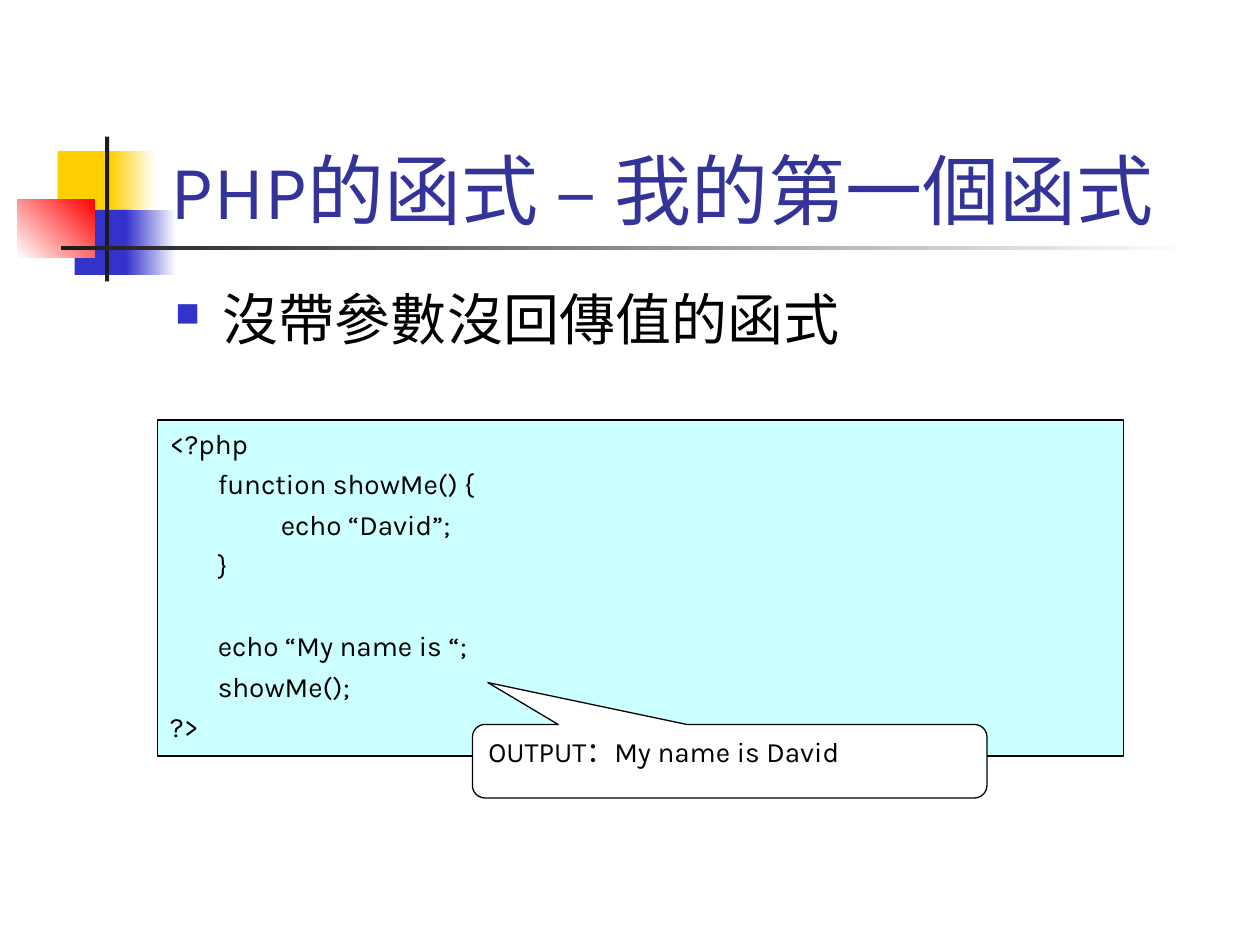
from lxml.etree import SubElement
from pptx import Presentation
from pptx.dml.color import RGBColor
from pptx.enum.shapes import MSO_SHAPE
from pptx.enum.text import MSO_ANCHOR, PP_ALIGN
from pptx.oxml.ns import qn
from pptx.util import Inches, Pt

COLORS = {
    "white": "FFFFFF", "black": "000000", "ink": "1C1C1C",
    "yellow": "FFCF01", "blue": "3333CC", "red": "FF0000",
    "title": "333399", "code": "CCFFFF",
}
COLUMNS, ROWS = 120, 90
HANGING = Inches(0.38)
CODE = [
    "<?php", "\tfunction showMe() {", "\t\techo “David”;", "\t}",
    "\techo “My name is “;", "\tshowMe();", "?>",
]
SECOND_BLOCK = 4  # code line that follows a one-line gap


def color(name):
    return RGBColor.from_string(COLORS[name])


class SlideBuilder:
    """Places elements on a 120 by 90 grid in one common style."""

    font = "Karla"

    def __init__(self, deck):
        self.width, self.height = deck.slide_width, deck.slide_height
        self.page = deck.slides.add_slide(deck.slide_layouts[6])

    def place(self, left, top, width, height):
        column, row = self.width / COLUMNS, self.height / ROWS
        return [round(value) for value in
                (left * column, top * row, width * column, height * row)]

    def block(self, cell, fill, outline=None, kind=MSO_SHAPE.RECTANGLE):
        shape = self.page.shapes.add_shape(kind, *self.place(*cell))
        shape.shadow.inherit = False
        shape.fill.solid()
        shape.fill.fore_color.rgb = color(fill)
        if outline:
            shape.line.color.rgb = color(outline)
            shape.line.width = Pt(0.75)
        else:
            shape.line.fill.background()
        return shape

    def fade(self, cell, start, end, angle=0):
        shape = self.block(cell, start)
        shape.fill.gradient()
        shape.fill.gradient_angle = angle
        for stop, name in zip(shape.fill.gradient_stops, (start, end)):
            stop.color.rgb = color(name)

    def text_box(self, cell):
        return self.page.shapes.add_textbox(*self.place(*cell))

    def set_text(self, shape, text, size, ink="black", anchor=MSO_ANCHOR.TOP):
        frame = shape.text_frame
        frame.text = text
        frame.word_wrap = True
        frame.vertical_anchor = anchor
        for para in frame.paragraphs:
            para.alignment = PP_ALIGN.LEFT
            for span in para.runs:
                span.font.name = self.font
                span.font.size = Pt(size)
                span.font.color.rgb = color(ink)
        return frame.paragraphs

    def hang(self, para):
        properties = para._p.get_or_add_pPr()
        properties.set("marL", str(HANGING))
        properties.set("indent", str(-HANGING))
        return properties

    def bullet(self, para, ink):
        properties = self.hang(para)
        tint = SubElement(properties, qn("a:buClr"))
        SubElement(tint, qn("a:srgbClr"), val=COLORS[ink])
        SubElement(properties, qn("a:buSzPct"), val="60000")
        SubElement(properties, qn("a:buChar"), char="■")

    def tab_stops(self, para):
        """Hang the paragraph and set a tab stop at every inch."""
        tabs = SubElement(self.hang(para), qn("a:tabLst"))
        for inch in range(8):
            SubElement(tabs, qn("a:tab"), pos=str(Inches(inch)), algn="l")


def main():
    deck = Presentation()
    deck.slide_width, deck.slide_height = Inches(10), Inches(7.5)
    slide = SlideBuilder(deck)

    # Corner ornament and title rule
    slide.block((5.5, 14.4, 5.8, 6.2), "yellow")
    slide.fade((10.5, 14.4, 4.3, 6.2), "yellow", "white")
    slide.block((7.1, 20, 5.5, 6.2), "blue")
    slide.fade((12, 20, 4.8, 6.2), "blue", "white")
    slide.fade((1.65, 19, 7.4, 5.5), "white", "red", angle=45)
    slide.block((10, 13, 0.4, 13.8), "ink")
    slide.fade((5.8, 23.4, 108, 0.4), "ink", "white")

    title = slide.text_box((15.1, 8, 102.3, 15))
    slide.set_text(title, "PHP的函式 – 我的第一個函式", 44, "title",
                   MSO_ANCHOR.BOTTOM)

    topic = slide.text_box((15.5, 26.5, 102, 8.5))
    for para in slide.set_text(topic, "沒帶參數沒回傳值的函式", 32):
        slide.bullet(para, "blue")

    listing = slide.block((15, 40, 92, 32), "code", "black")
    for number, para in enumerate(
            slide.set_text(listing, "\n".join(CODE), 16)):
        slide.tab_stops(para)
        if number:
            para.space_before = Pt(27 if number == SECOND_BLOCK else 4)

    output = slide.block((45, 69, 49, 7), "white", "black",
                         MSO_SHAPE.ROUNDED_RECTANGULAR_CALLOUT)
    for index, value in enumerate((-0.47, -1.07, 0.17)):
        output.adjustments[index] = value
    slide.set_text(output, "OUTPUT：My name is David", 16)

    deck.save("out.pptx")


if __name__ == "__main__":
    main()
